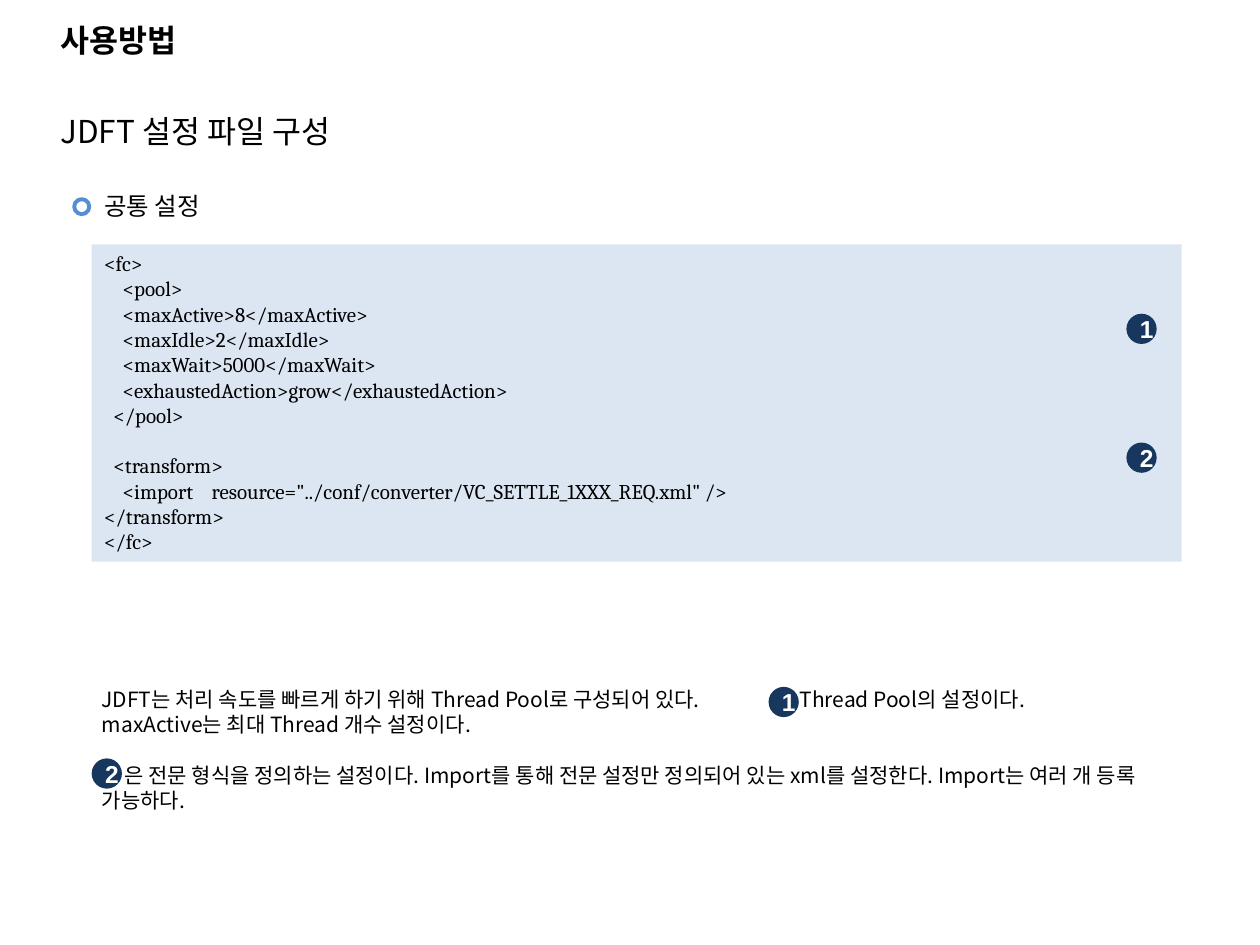
"""Build the slide on the JDFT configuration file with its numbered notes."""
from dataclasses import dataclass

from lxml.etree import SubElement
from pptx import Presentation
from pptx.dml.color import RGBColor
from pptx.enum.shapes import MSO_SHAPE as Preset
from pptx.enum.text import MSO_ANCHOR as Anchor, PP_ALIGN as Align
from pptx.oxml.ns import qn
from pptx.util import Pt

KOREAN_FONT = "Noto Sans CJK KR"
CODE_FONT = "Cambria"
BADGE_FONT = "Arial"
BLACK, WHITE, NAVY, BLUE, PALE_BLUE = "000000", "FFFFFF", "17375E", "558ED5", "DCE6F2"
LINE_FACTOR = 1.204
BADGE_SIZE = 17.28


@dataclass
class Box:
    left: float
    top: float
    width: float
    height: float


@dataclass
class Line:
    text: str
    gap: float = 0
    indent: float = 0
    tab: float = 0


@dataclass
class Badge:
    number: str
    left: float
    top: float


CODE = [
    Line("<fc>"),
    Line("    <pool>"),
    Line("    <maxActive>8</maxActive>"),
    Line("    <maxIdle>2</maxIdle>"),
    Line("    <maxWait>5000</maxWait>"),
    Line("    <exhaustedAction>grow</exhaustedAction>"),
    Line("  </pool>"),
    Line("  <transform>", gap=14.45),
    Line('    <import    resource="../conf/converter/VC_SETTLE_1XXX_REQ.xml" />'),
    Line("</transform>"),
    Line("</fc>"),
]
NOTES = [
    Line("JDFT는 처리 속도를 빠르게 하기 위해 Thread Pool로 구성되어 있다.\t은 Thread Pool의 설정이다.", tab=385),
    Line("maxActive는 최대 Thread 개수 설정이다."),
    Line("은 전문 형식을 정의하는 설정이다. Import를 통해 전문 설정만 정의되어 있는 xml를 설정한다. "
         "Import는 여러 개 등록 가능하다.", gap=14.45, indent=13),
]
BADGES = [
    Badge("1", 643.7, 179.3),
    Badge("2", 643.7, 252.9),
    Badge("1", 439.2, 392.5),
    Badge("2", 52.4, 433.4),
]


def color(value: str) -> RGBColor:
    return RGBColor.from_string(value)


def bounds(box: Box) -> list:
    return [Pt(value) for value in (box.left, box.top, box.width, box.height)]


def write(shape, lines: list[Line], *, size: float, font: str = KOREAN_FONT, fill: str = BLACK,
          bold: bool = False, align=Align.LEFT, anchor=Anchor.TOP) -> None:
    frame = shape.text_frame
    frame.word_wrap = True
    frame.vertical_anchor = anchor
    for index, line in enumerate(lines):
        paragraph = frame.add_paragraph() if index else frame.paragraphs[0]
        properties = paragraph._p.get_or_add_pPr()
        if line.tab:
            tabs = SubElement(properties, qn("a:tabLst"))
            SubElement(tabs, qn("a:tab"), pos=str(Pt(line.tab)), algn="l")
        if line.indent:
            properties.set("marL", "0")
            properties.set("indent", str(Pt(line.indent)))
        paragraph.alignment = align
        paragraph.line_spacing = Pt(round(size * LINE_FACTOR, 2))
        paragraph.space_before = Pt(line.gap)
        run = paragraph.add_run()
        run.text = line.text
        run.font.size, run.font.bold, run.font.name = Pt(size), bold, font
        run.font.color.rgb = color(fill)
        SubElement(run._r.get_or_add_rPr(), qn("a:ea"), typeface=font)


def add_text(slide, box: Box, lines: list[Line], **text_format) -> None:
    write(slide.shapes.add_textbox(*bounds(box)), lines, **text_format)


def add_shape(slide, preset, box: Box, fill: str = "", outline: str = ""):
    shape = slide.shapes.add_shape(preset, *bounds(box))
    shape.shadow.inherit = False
    if fill:
        shape.fill.solid()
        shape.fill.fore_color.rgb = color(fill)
    else:
        shape.fill.background()
    if outline:
        shape.line.color.rgb = color(outline)
        shape.line.width = Pt(2.25)
    else:
        shape.line.fill.background()
    return shape


def add_badge(slide, badge: Badge) -> None:
    box = Box(badge.left, badge.top, BADGE_SIZE, BADGE_SIZE)
    shape = add_shape(slide, Preset.OVAL, box, fill=NAVY)
    write(shape, [Line(badge.number)], size=14, font=BADGE_FONT, fill=WHITE, bold=True,
          align=Align.CENTER, anchor=Anchor.MIDDLE)


def main() -> None:
    presentation = Presentation()
    presentation.slide_width, presentation.slide_height = Pt(720), Pt(540)
    slide = presentation.slides.add_slide(presentation.slide_layouts[6])
    add_text(slide, Box(27.4, 9.4, 648, 28), [Line("사용방법")], size=18, bold=True, anchor=Anchor.BOTTOM)
    add_text(slide, Box(27.4, 60.5, 648, 28.8), [Line("JDFT 설정 파일 구성")], size=18)
    add_shape(slide, Preset.OVAL, Box(42.4, 113.8, 8.6, 8.6), outline=BLUE)
    add_text(slide, Box(52.4, 105.8, 648, 24.5), [Line("공통 설정")], size=14)
    code_panel = add_shape(slide, Preset.RECTANGLE, Box(52.4, 139.6, 622.8, 181.4), fill=PALE_BLUE)
    write(code_panel, CODE, size=12, font=CODE_FONT)
    add_text(slide, Box(51.1, 388.8, 624.2, 80), NOTES, size=12)
    for badge in BADGES:
        add_badge(slide, badge)
    presentation.save("out.pptx")


if __name__ == "__main__":
    main()
